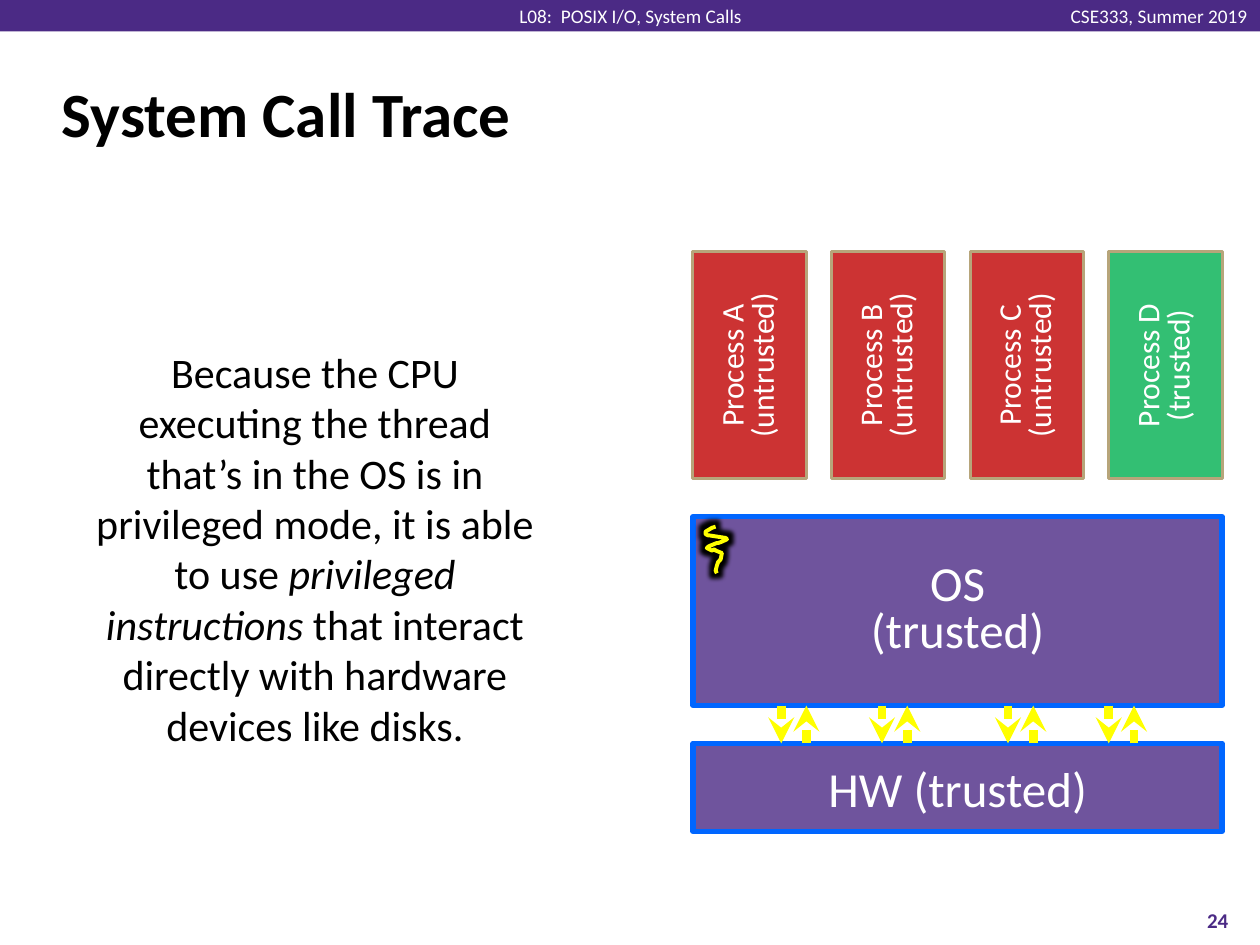
from dataclasses import dataclass

from lxml.etree import SubElement
from pptx import Presentation
from pptx.dml.color import RGBColor
from pptx.enum.shapes import MSO_CONNECTOR as Connector, MSO_SHAPE as Preset
from pptx.enum.text import MSO_ANCHOR as Anchor, MSO_AUTO_SIZE as AutoSize, PP_ALIGN as Align
from pptx.oxml.ns import qn
from pptx.util import Pt

PX = 9144
FONT = "Calibri"
PURPLE, WHITE, BLACK, YELLOW = "4B2A85", "FFFFFF", "000000", "FFFF00"
BLUE, TAN, RED, GREEN = "0066FF", "B7A57A", "C00000", "00B050"
ARROW_PAIR_LEFTS = (620, 700, 800, 880)
THREAD = (
    (568, 418), (565, 419), (560, 422), (560, 424), (562, 425), (563, 425),
    (576, 427), (577, 428), (573, 430), (570, 431), (569, 431), (564, 433),
    (562, 434), (561, 435), (565, 437), (567, 436), (568, 437), (573, 439),
    (572, 444), (570, 446), (569, 449), (568, 453), (569, 455),
)


@dataclass(frozen=True)
class Block:
    """A labelled layer or process; a newline splits paragraphs, a \\v splits lines."""
    label: str
    box: tuple[int, int, int, int]
    fill: str
    line: str
    line_width: float
    size: int
    spacing: float = 0.8
    vertical: bool = False


@dataclass(frozen=True)
class Caption:
    """Free-standing text made of (words, italic) pieces."""
    pieces: tuple[tuple[str, bool], ...]
    box: tuple[int, int, int, int]
    size: int
    color: str
    align: Align = Align.CENTER
    anchor: Anchor = Anchor.MIDDLE
    bold: bool = False
    margin: int = 5
    wrap: bool = True


PROCESSES = [
    Block(f"Process {letter}\v({trust})", (550 + 110 * column, 200, 90, 180),
          fill, TAN, 1.75, 18, vertical=True)
    for column, (letter, trust, fill) in enumerate((
        ("A", "untrusted", RED), ("B", "untrusted", RED),
        ("C", "untrusted", RED), ("D", "trusted", GREEN)))
]
LAYERS = [
    Block("OS\n(trusted)", (550, 410, 420, 150), PURPLE, BLUE, 3, 28),
    Block("HW (trusted)", (550, 590, 420, 70), PURPLE, BLUE, 3, 28, spacing=1.0),
]
CAPTIONS = [
    Caption((("CSE333, Summer 2019", False),), (838, 3, 162, 19), 11, WHITE,
            align=Align.RIGHT, margin=0, wrap=False),
    Caption((("L08:  POSIX I/O, System Calls", False),), (401, 3, 199, 19), 11, WHITE,
            margin=0, wrap=False),
    Caption((("24", False),), (933, 710, 67, 40), 12, PURPLE, bold=True),
    Caption((("Because the CPU executing the thread that’s in the OS is in "
              "privileged mode, it is able to use ", False),
             ("privileged instructions", True),
             (" that interact directly with hardware devices like disks.", False)),
            (60, 270, 380, 333), 24, BLACK, anchor=Anchor.TOP),
]


def px(*lengths: int) -> list[int]:
    """Turn px lengths into EMU."""
    return [length * PX for length in lengths]


def rgb(color: str) -> RGBColor:
    """Read a hex colour."""
    return RGBColor.from_string(color)


def assign(target, values: dict) -> None:
    """Set each named attribute on the target."""
    for name, value in values.items():
        setattr(target, name, value)


def style_font(font, size: int, color: str, **extras) -> None:
    """Give a font its face, size, colour and emphasis."""
    assign(font, {"name": FONT, "size": Pt(size), **extras})
    font.color.rgb = rgb(color)


def style_line(line, color: str, width: float) -> None:
    """Give an outline its colour and width."""
    line.color.rgb = rgb(color)
    line.width = Pt(width)


def add_panel(shapes, box: tuple[int, int, int, int], fill: str):
    """Add a filled rectangle without outline or shadow."""
    panel = shapes.add_shape(Preset.RECTANGLE, *px(*box))
    panel.shadow.inherit = False
    panel.fill.solid()
    panel.fill.fore_color.rgb = rgb(fill)
    panel.line.fill.background()
    return panel


def add_block(shapes, block: Block) -> None:
    """Add a labelled, 80 percent opaque block."""
    panel = add_panel(shapes, block.box, block.fill)
    tint = panel._element.spPr.find(f"{qn('a:solidFill')}/{qn('a:srgbClr')}")
    SubElement(tint, qn("a:alpha"), val="80000")
    style_line(panel.line, block.line, block.line_width)
    frame = panel.text_frame
    assign(frame, {"text": block.label, "word_wrap": True, "vertical_anchor": Anchor.MIDDLE})
    if block.vertical:
        frame._txBody.bodyPr.set("vert", "vert270")
    for paragraph in frame.paragraphs:
        assign(paragraph, {"alignment": Align.CENTER, "line_spacing": block.spacing})
        for run in paragraph.runs:
            style_font(run.font, block.size, WHITE)


def add_caption(shapes, caption: Caption) -> None:
    """Add a text box with its styled pieces."""
    frame = shapes.add_textbox(*px(*caption.box)).text_frame
    margin = caption.margin * PX
    assign(frame, {"word_wrap": caption.wrap, "vertical_anchor": caption.anchor,
                   "margin_top": margin, "margin_bottom": margin})
    paragraph = frame.paragraphs[0]
    paragraph.alignment = caption.align
    for words, italic in caption.pieces:
        run = paragraph.add_run()
        run.text = words
        style_font(run.font, caption.size, caption.color, bold=caption.bold, italic=italic)


def add_arrow(shapes, x: int, start: int, end: int) -> None:
    """Add a vertical arrow pointing at its end."""
    arrow = shapes.add_connector(Connector.STRAIGHT, *px(x, start, x, end))
    style_line(arrow.line, YELLOW, 5)
    SubElement(arrow.line._get_or_add_ln(), qn("a:tailEnd"), type="stealth")
    SubElement(arrow._element.spPr, qn("a:effectLst"))


def add_thread(shapes) -> None:
    """Add the glowing squiggle for the running thread."""
    builder = shapes.build_freeform(*THREAD[0], scale=PX)
    builder.add_line_segments(THREAD[1:], close=False)
    thread = builder.convert_to_shape()
    thread.fill.background()
    style_line(thread.line, YELLOW, 2.25)
    thread.shadow.inherit = False
    effects = thread._element.spPr.find(qn("a:effectLst"))
    glow = SubElement(effects, qn("a:glow"), rad=str(Pt(5)))
    SubElement(glow, qn("a:srgbClr"), val=BLACK)


def set_title(title, words: str) -> None:
    """Place and format the title placeholder."""
    assign(title, dict(zip(("left", "top", "width", "height"), px(39, 48, 919, 83))))
    frame = title.text_frame
    assign(frame, {"text": words, "vertical_anchor": Anchor.MIDDLE, "auto_size": AutoSize.NONE})
    paragraph = frame.paragraphs[0]
    paragraph.alignment = Align.LEFT
    indent = 13 * PX
    assign(paragraph._p.get_or_add_pPr(), {"marL": indent, "indent": -indent})
    style_font(paragraph.runs[0].font, 36, BLACK, bold=True)


def main() -> None:
    """Build and save the slide."""
    deck = Presentation()
    assign(deck, dict(zip(("slide_width", "slide_height"), px(1000, 750))))
    slide = deck.slides.add_slide(deck.slide_layouts[5])
    shapes = slide.shapes
    set_title(shapes.title, "System Call Trace")
    add_panel(shapes, (0, 0, 1000, 25), PURPLE)
    for block in LAYERS + PROCESSES:
        add_block(shapes, block)
    add_thread(shapes)
    for caption in CAPTIONS:
        add_caption(shapes, caption)
    for left in ARROW_PAIR_LEFTS:
        add_arrow(shapes, left, 560, 590)
        add_arrow(shapes, left + 20, 590, 560)
    deck.save("out.pptx")


if __name__ == "__main__":
    main()
